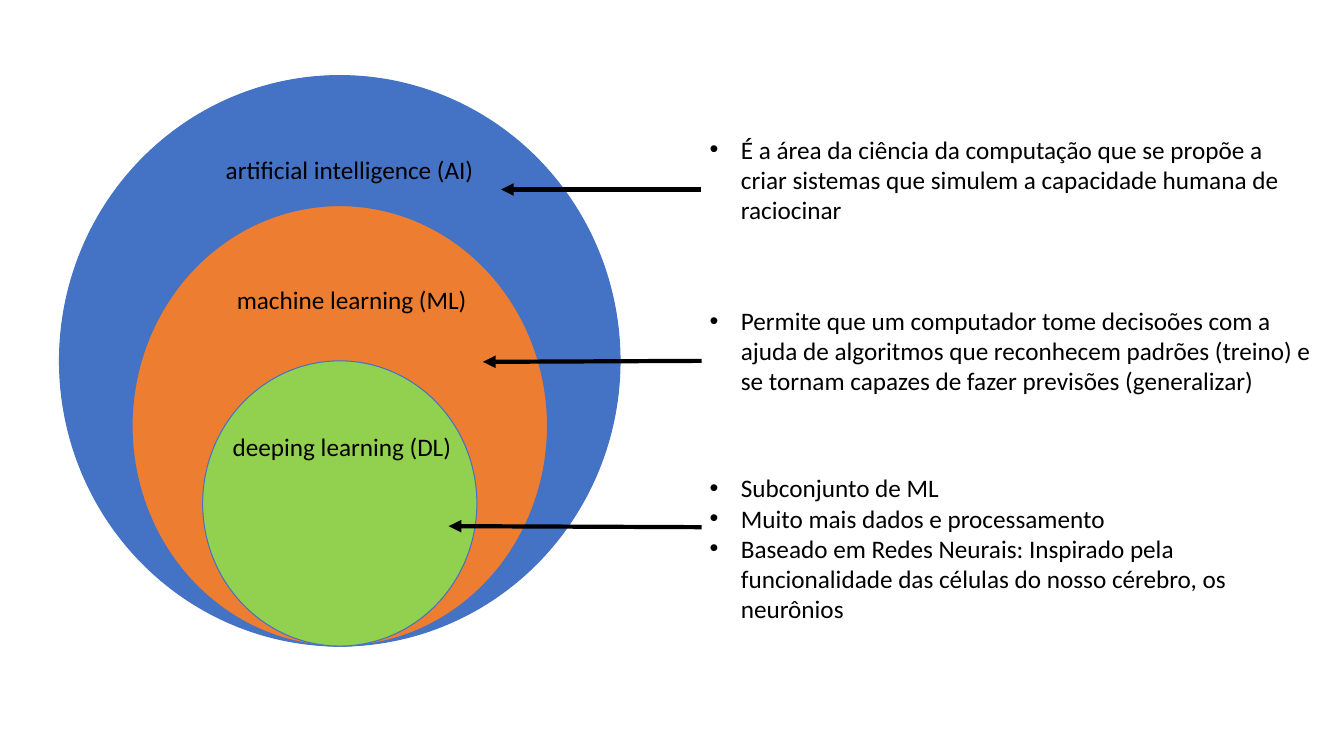
"""Builds a slide of nested AI, ML and DL circles with explained arrows."""
from lxml import etree
from pptx import Presentation, util as u
from pptx.dml.color import RGBColor
from pptx.enum import shapes, text
from pptx.oxml.ns import qn

CENTRE_X, BASE_Y = 3.37, 6.41
NOTE_LEFT, NOTE_WIDTH = 6.44, 6.67
LINE_HEIGHT, PADDING = 0.305, 0.1
BULLET_INDENT, BULLET_HANG = 0.81, -0.31
INK, OUTLINE = "000000", "4472C4"
FONT = {"name": "Calibri", "size": u.Pt(18)}
FRAME = {
    "word_wrap": True,
    "auto_size": text.MSO_AUTO_SIZE.NONE,
    "vertical_anchor": text.MSO_ANCHOR.TOP,
}

FIELDS = [
    {
        "circle": (5.56, 5.66, "4472C4"),
        "label": ("artificial intelligence (AI)", 2.14, 1.48, 2.82),
        "notes": ["É a área da ciência da computação que se propõe a criar sistemas "
                  "que simulem a capacidade humana de raciocinar"],
        "notes_top": 1.28,
        "arrow": (6.95, 1.88, 4.97, 1.88),
    },
    {
        "circle": (4.12, 4.37, "ED7D31"),
        "label": ("machine learning (ML)", 2.25, 2.77, 2.62),
        "notes": ["Permite que um computador tome decisoões com a ajuda de algoritmos "
                  "que reconhecem padrões (treino) e se tornam capazes de fazer "
                  "previsões (generalizar)"],
        "notes_top": 2.98,
        "arrow": (6.96, 3.58, 4.79, 3.59),
    },
    {
        "circle": (2.72, 2.83, "92D050"),
        "label": ("deeping learning (DL)", 2.21, 4.23, 2.62),
        "notes": ["Subconjunto de ML",
                  "Muito mais dados e processamento",
                  "Baseado em Redes Neurais: Inspirado pela funcionalidade das células "
                  "do nosso cérebro, os neurônios"],
        "notes_top": 4.64,
        "arrow": (6.96, 5.23, 4.45, 5.22),
    },
]


def colour(code):
    return RGBColor.from_string(code)


def apply(target, values):
    for key, value in values.items():
        setattr(target, key, value)


def draw_circle(slide, width, height, fill):
    box = (CENTRE_X - width / 2, BASE_Y - height, width, height)
    circle = slide.shapes.add_shape(shapes.MSO_SHAPE.OVAL, *map(u.Inches, box))
    circle.shadow.inherit = False
    circle.fill.solid()
    circle.fill.fore_color.rgb = colour(fill)
    circle.line.color.rgb = colour(OUTLINE)
    circle.line.width = u.Pt(0.75)


def add_bullet(paragraph):
    properties = paragraph._p.get_or_add_pPr()
    properties.set("marL", str(u.Inches(BULLET_INDENT)))
    properties.set("indent", str(u.Inches(BULLET_HANG)))
    etree.SubElement(properties, qn("a:buFont"), typeface="Arial")
    etree.SubElement(properties, qn("a:buChar"), char="•")


def write(slide, left, top, width, lines, wording, bulleted=False):
    box = (left, top, width, lines * LINE_HEIGHT + PADDING)
    frame = slide.shapes.add_textbox(*map(u.Inches, box)).text_frame
    apply(frame, FRAME)
    for index, sentence in enumerate(wording):
        paragraph = frame.add_paragraph() if index else frame.paragraphs[0]
        if bulleted:
            paragraph.level = 1
            add_bullet(paragraph)
        run = paragraph.add_run()
        run.text = sentence
        apply(run.font, FONT)
        run.font.color.rgb = colour(INK)


def draw_arrow(slide, ends):
    arrow = slide.shapes.add_connector(shapes.MSO_CONNECTOR.STRAIGHT, *map(u.Inches, ends))
    arrow.line.color.rgb = colour(INK)
    arrow.line.width = u.Pt(3)
    etree.SubElement(arrow.line._get_or_add_ln(), qn("a:tailEnd"), type="triangle")
    etree.SubElement(arrow._element.spPr, qn("a:effectLst"))


def main():
    deck = Presentation()
    apply(deck, {"slide_width": u.Inches(13.33), "slide_height": u.Inches(7.5)})
    slide = deck.slides.add_slide(deck.slide_layouts[6])
    for field in FIELDS:
        draw_circle(slide, *field["circle"])
    for field in FIELDS:
        label, left, top, width = field["label"]
        write(slide, left, top, width, 1, [label])
    for field in FIELDS:
        notes = field["notes"]
        write(slide, NOTE_LEFT, field["notes_top"], NOTE_WIDTH, len(notes) + 2, notes, True)
        draw_arrow(slide, field["arrow"])
    deck.save("out.pptx")


if __name__ == "__main__":
    main()
